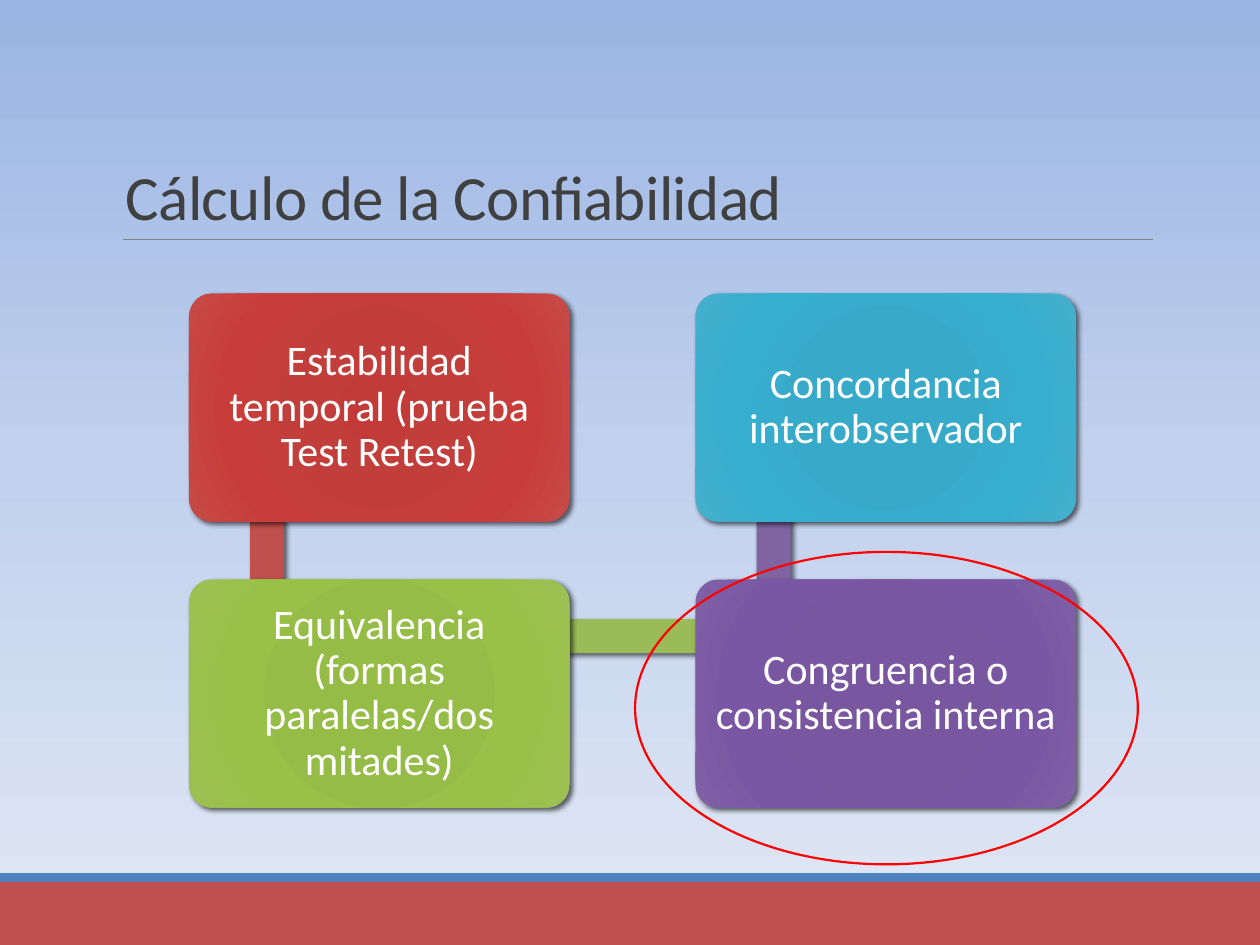
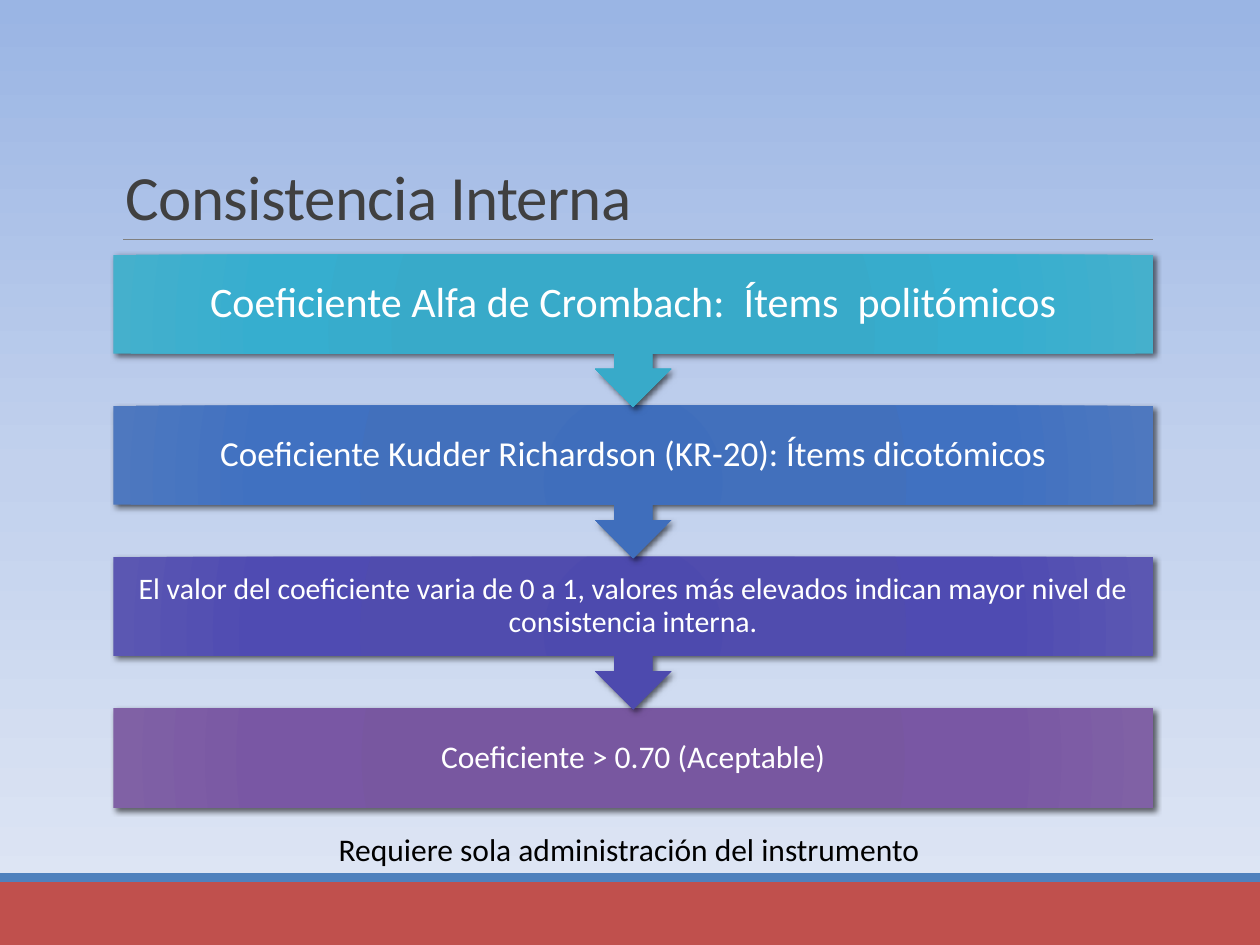
from lxml import etree
from pptx import Presentation
from pptx.dml.color import RGBColor
from pptx.enum.shapes import MSO_CONNECTOR, MSO_SHAPE
from pptx.enum.text import MSO_ANCHOR, PP_ALIGN
from pptx.oxml.ns import qn
from pptx.util import Emu, Inches, Pt

RECTANGLE = MSO_SHAPE.RECTANGLE
ROUNDED = MSO_SHAPE.ROUNDED_RECTANGLE
CALLOUT = MSO_SHAPE.DOWN_ARROW_CALLOUT
OVAL = MSO_SHAPE.OVAL
STRAIGHT = MSO_CONNECTOR.STRAIGHT
CENTER, LEFT = PP_ALIGN.CENTER, PP_ALIGN.LEFT
TOP, MIDDLE, BOTTOM = MSO_ANCHOR.TOP, MSO_ANCHOR.MIDDLE, MSO_ANCHOR.BOTTOM

FONT = "Calibri"
WHITE, BLACK, TITLE_GRAY, RULE_GRAY = "FFFFFF", "000000", "404040", "808080"
RED, BLUE, GREEN, PURPLE, HIGHLIGHT = "C0504D", "4F81BD", "9BBB59", "8064A2", "FF0000"
BACKGROUND = [(0, "9AB5E4"), (50, "C2D1ED"), (100, "E1E8F5")]
STOPS = (0, 34, 70, 100)
GLOWS = {
    "red": ("C33B38", "C23E3B", "C83D39", "C64B47"),
    "green": ("95BC45", "96BC48", "99C147", "9DC054"),
    "purple": ("7655A0", "7857A0", "7957A4", "8061A5"),
    "teal": ("35AACA", "38AAC9", "36AECF", "45B0CC"),
    "blue": ("3F6EBC", "4270BC", "4071C1", "4E78BF"),
    "indigo": ("4D4AAE", "504CAE", "4F4BB2", "5B57B2"),
}

METHODS_TITLE = "Cálculo de la Confiabilidad"
METHODS = [
    ("Estabilidad temporal (prueba Test Retest)", "red", 0, 0, RED),
    ("Equivalencia (formas paralelas/dos mitades)", "green", 0, 1, GREEN),
    ("Congruencia o consistencia interna", "purple", 1, 1, PURPLE),
    ("Concordancia interobservador", "teal", 1, 0, None),
]
CARD_LEFT, CARD_TOP, CARD_WIDTH, CARD_HEIGHT = 1.5, 2.33, 3.02, 1.81
COLUMN_PITCH, ROW_PITCH = 4.02, 2.27
JOINT_X, JOINT_Y, BAR_WIDTH = 0.62, 0.45, 0.27

STEPS_TITLE = "Consistencia Interna"
STEPS = [
    ("Coeficiente Alfa de Crombach:  Ítems  politómicos", "teal", 24, 0.19),
    ("Coeficiente Kudder Richardson (KR-20): Ítems dicotómicos", "blue", 20, 0.16),
    ("El valor del coeficiente varia de 0 a 1, valores más elevados indican "
     "mayor nivel de consistencia interna.", "indigo", 17, 0.13),
    ("Coeficiente > 0.70 (Aceptable)", "purple", 18, 0.14),
]
STEPS_NOTE = "Requiere sola administración del instrumento"
STEP_LEFT, STEP_TOP, STEP_WIDTH, STEP_PITCH = 0.9, 2.02, 8.25, 1.2
STEP_HEIGHT, CALLOUT_HEIGHT = 0.79, 1.21


def color(value):
    return RGBColor.from_string(value)


def add_color(parent, value):
    return etree.SubElement(parent, qn("a:srgbClr"), val=value)


def set_gradient(container, stops, circular=False):
    gradient = etree.Element(qn("a:gradFill"), rotWithShape="1")
    stop_list = etree.SubElement(gradient, qn("a:gsLst"))
    for position, value in stops:
        add_color(etree.SubElement(stop_list, qn("a:gs"), pos=str(position * 1000)), value)
    if circular:
        route = etree.SubElement(gradient, qn("a:path"), {"path": "circle"})
        etree.SubElement(route, qn("a:fillToRect"), {side: "100000" for side in "ltrb"})
    else:
        etree.SubElement(gradient, qn("a:lin"), ang="5400000", scaled="0")
    container.replace(container.find(qn("a:solidFill")), gradient)


def set_shadow(shape, blur):
    effects = shape._element.spPr.find(qn("a:effectLst"))
    shadow = etree.SubElement(effects, qn("a:outerShdw"), blurRad=str(Pt(blur)),
                              dist=str(Pt(2)), dir="2700000", algn="tl", rotWithShape="0")
    etree.SubElement(add_color(shadow, BLACK), qn("a:alpha"), val="60000")


def add_block(slide, kind, box, fill=None, glow=None, line=None, shadow=None):
    shape = slide.shapes.add_shape(kind, *map(Inches, box))
    shape.shadow.inherit = False
    if fill or glow:
        shape.fill.solid()
        shape.fill.fore_color.rgb = color(fill or GLOWS[glow][0])
    else:
        shape.fill.background()
    if line:
        shape.line.color.rgb = color(line)
        shape.line.width = Pt(1.25)
    else:
        shape.line.fill.background()
    if glow:
        set_gradient(shape._element.spPr, zip(STOPS, GLOWS[glow]), circular=True)
    if shadow:
        set_shadow(shape, shadow)
    return shape


def write(shape, text, size=24, ink=WHITE, align=CENTER, anchor=MIDDLE,
          inset=None, spacing=0.9, tracking=None, wrap=True):
    frame = shape.text_frame
    frame.word_wrap = wrap
    frame.vertical_anchor = anchor
    if inset is not None:
        frame.margin_left = frame.margin_right = Inches(inset)
        frame.margin_top = frame.margin_bottom = Inches(inset)
    paragraph = frame.paragraphs[0]
    paragraph.alignment = align
    paragraph.line_spacing = spacing
    run = paragraph.add_run()
    run.text = text
    run.font.name = FONT
    run.font.size = Pt(size)
    run.font.color.rgb = color(ink)
    if tracking is not None:
        run._r.get_or_add_rPr().set("spc", str(tracking))


def add_text(slide, box, text, **style):
    write(slide.shapes.add_textbox(*map(Inches, box)), text, **style)


def add_base_slide(presentation, title):
    slide = presentation.slides.add_slide(presentation.slide_layouts[6])
    slide.background.fill.solid()
    slide.background.fill.fore_color.rgb = color(BACKGROUND[0][1])
    set_gradient(slide.element.find(".//" + qn("p:bgPr")), BACKGROUND)
    add_block(slide, RECTANGLE, (0, 7, 10, 0.5), fill=RED)
    add_block(slide, RECTANGLE, (0, 6.93, 10, 0.07), fill=BLUE)
    rule = slide.shapes.add_connector(STRAIGHT, *map(Inches, (0.98, 1.9, 9.15, 1.9)))
    rule.line.color.rgb = color(RULE_GRAY)
    rule.line.width = Pt(0.5)
    etree.SubElement(rule._element.spPr, qn("a:effectLst"))
    add_text(slide, (0.9, 0.31, 8.25, 1.59), title, size=36, ink=TITLE_GRAY,
             align=LEFT, anchor=BOTTOM, spacing=0.85, tracking=-40)
    return slide


def card_origin(column, row):
    return CARD_LEFT + column * COLUMN_PITCH, CARD_TOP + row * ROW_PITCH


def bar_box(start, end):
    (x1, y1), (x2, y2) = start, end
    left, top = min(x1, x2) + JOINT_X, min(y1, y2) + JOINT_Y
    if x1 == x2:
        return left - BAR_WIDTH / 2, top, BAR_WIDTH, abs(y2 - y1)
    return left, top - BAR_WIDTH / 2, abs(x2 - x1), BAR_WIDTH


def build_methods(presentation):
    slide = add_base_slide(presentation, METHODS_TITLE)
    origins = [card_origin(column, row) for _, _, column, row, _ in METHODS]
    for index, (text, glow, _, _, bar_fill) in enumerate(METHODS):
        if bar_fill:
            add_block(slide, RECTANGLE, bar_box(origins[index], origins[index + 1]),
                      fill=bar_fill, shadow=3)
        card = add_block(slide, ROUNDED, (*origins[index], CARD_WIDTH, CARD_HEIGHT),
                         glow=glow, shadow=3)
        card.adjustments[0] = 0.1
        write(card, text, inset=0.1)
    add_block(slide, OVAL, (5.04, 4.38, 3.99, 2.48), line=HIGHLIGHT)


def build_steps(presentation):
    slide = add_base_slide(presentation, STEPS_TITLE)
    last = len(STEPS) - 1
    for index, (text, glow, size, inset) in reversed(list(enumerate(STEPS))):
        kind, height = (RECTANGLE, STEP_HEIGHT) if index == last else (CALLOUT, CALLOUT_HEIGHT)
        box = (STEP_LEFT, STEP_TOP + index * STEP_PITCH, STEP_WIDTH, height)
        write(add_block(slide, kind, box, glow=glow, shadow=3.5), text, size=size, inset=inset)
    add_text(slide, (2.59, 6.54, 4.86, 0.4), STEPS_NOTE, size=18, ink=BLACK,
             align=LEFT, anchor=TOP, spacing=1.0, wrap=False)


def main():
    presentation = Presentation()
    presentation.slide_width = Inches(10)
    presentation.slide_height = Inches(7.5)
    build_methods(presentation)
    build_steps(presentation)
    presentation.save("out.pptx")


if __name__ == "__main__":
    main()
